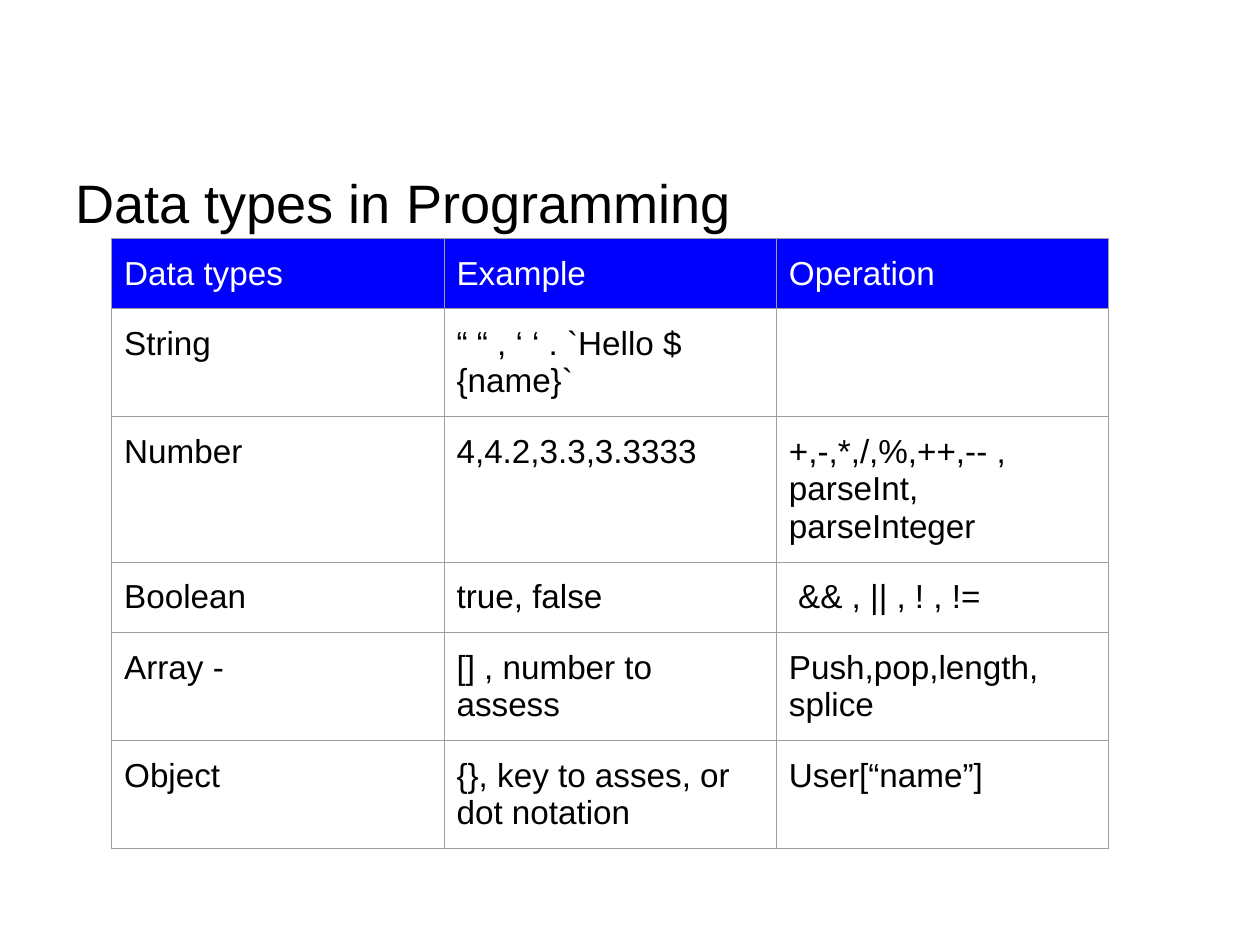
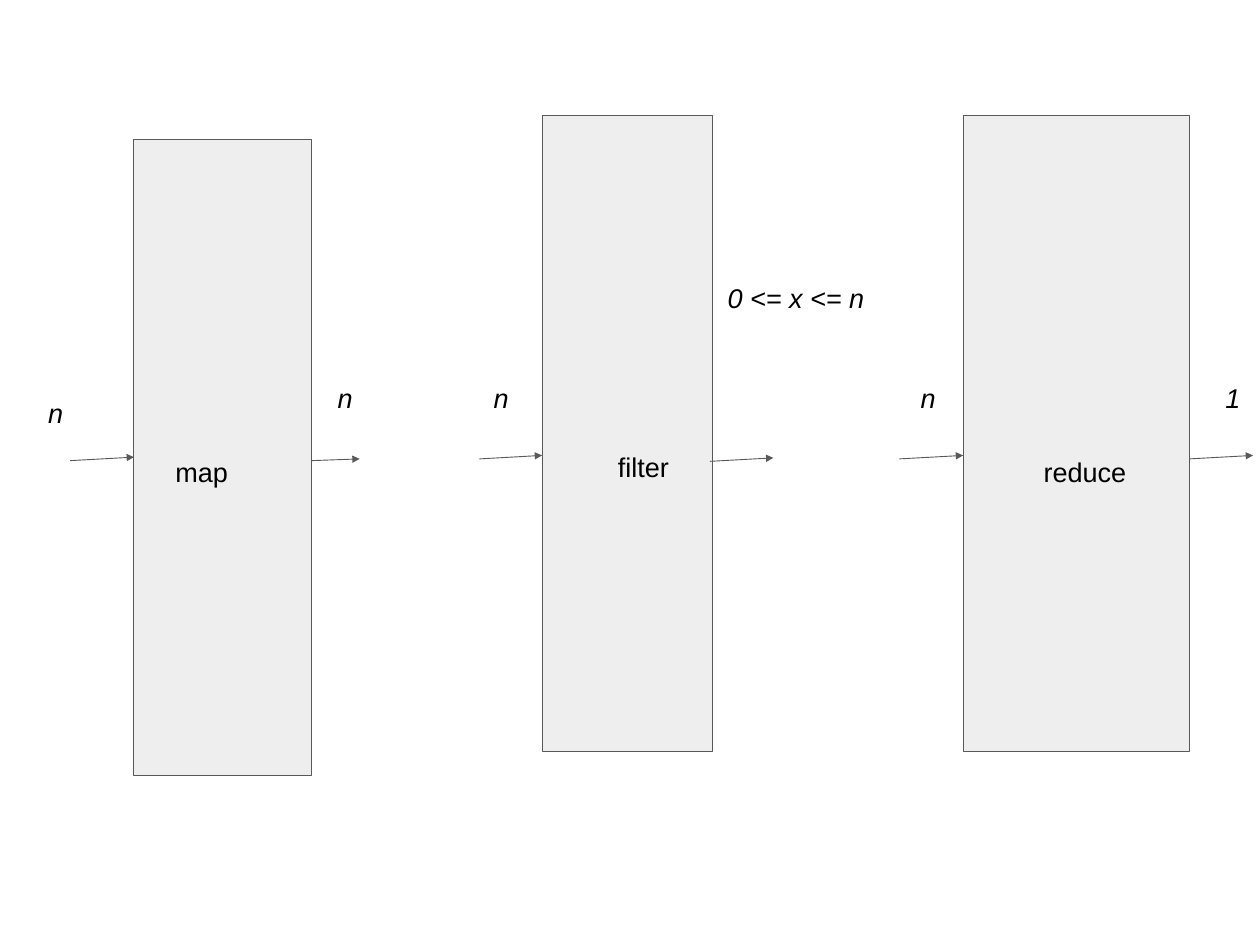
from lxml.etree import SubElement as Sub
from pptx import Presentation as Deck
from pptx.dml.color import RGBColor
from pptx.enum.shapes import MSO_CONNECTOR as Link, MSO_SHAPE as Form
from pptx.enum.text import MSO_ANCHOR as Anchor, MSO_AUTO_SIZE as Auto
from pptx.oxml import parse_xml
from pptx.oxml.ns import nsdecls, qn
from pptx.util import Cm, Pt


def tint(code):
    return RGBColor.from_string(code)


def apply(item, form):
    for key, val in form.items():
        setattr(item, key, val)


class Board:
    """Holds the shared style and the slide being drawn."""

    font = "Arial"
    black, white, blue = "000000", "FFFFFF", "0000FF"
    grey, edge, grid = "EEEEEE", "595959", "9E9E9E"
    thin = 0.75
    inset = dict.fromkeys(
        ("margin_left", "margin_top", "margin_right", "margin_bottom"), Cm(0.41))
    pad = {"margin_left": Cm(0.36), "margin_right": Cm(0.36),
           "margin_top": Cm(0.48), "margin_bottom": Cm(0.48)}

    def __init__(self, wide, high):
        self.deck = Deck()
        apply(self.deck, {"slide_width": Cm(wide), "slide_height": Cm(high)})
        self.slide = None

    def page(self):
        self.slide = self.deck.slides.add_slide(self.deck.slide_layouts[6])
        fill = self.slide.background.fill
        fill.solid()
        fill.fore_color.rgb = tint(self.white)

    def label(self, frame, text, size, color=black, italic=False):
        run = frame.paragraphs[0].add_run()
        run.text = text
        apply(run.font, {"name": self.font, "size": Pt(size), "italic": italic})
        run.font.color.rgb = tint(color)

    def stroke(self, line):
        line.color.rgb = tint(self.edge)
        line.width = Pt(self.thin)

    def text(self, text, left, top, wide, high=1.75, size=22, italic=False,
             fit=Auto.SHAPE_TO_FIT_TEXT):
        box = self.slide.shapes.add_textbox(Cm(left), Cm(top), Cm(wide), Cm(high))
        frame = box.text_frame
        apply(frame, {"word_wrap": True, "auto_size": fit,
                      "vertical_anchor": Anchor.TOP, **self.inset})
        self.label(frame, text, size, italic=italic)

    def title(self, text):
        self.text(text, 1.75, 4.45, 32.6, 5.7, size=44, fit=Auto.NONE)

    def block(self, left, top, wide, high):
        box = self.slide.shapes.add_shape(
            Form.RECTANGLE, Cm(left), Cm(top), Cm(wide), Cm(high))
        box.shadow.inherit = False
        box.fill.solid()
        box.fill.fore_color.rgb = tint(self.grey)
        self.stroke(box.line)
        return box

    def arrow(self, left, top, right, low, goal=None):
        link = self.slide.shapes.add_connector(
            Link.STRAIGHT, Cm(left), Cm(top), Cm(right), Cm(low))
        if goal is not None:
            link.end_connect(goal, 1)
        self.stroke(link.line)
        Sub(link.get_or_add_ln(), qn("a:tailEnd"), type="triangle")
        Sub(link._element.spPr, qn("a:effectLst"))

    def border(self, cell):
        props = cell._tc.get_or_add_tcPr()
        for spot, side in enumerate("LRTB"):
            props.insert(spot, parse_xml(
                f'<a:ln{side} {nsdecls("a")} w="{Pt(self.thin)}"><a:solidFill>'
                f'<a:srgbClr val="{self.grid}"/></a:solidFill></a:ln{side}>'))

    def table(self, rows, left, top, wide, high):
        cols = len(rows[0])
        table = self.slide.shapes.add_table(
            len(rows), cols, Cm(left), Cm(top),
            Cm(wide * cols), Cm(high * len(rows))).table
        apply(table, {"first_row": False, "horz_banding": False})
        for i, row in enumerate(rows):
            for j, text in enumerate(row):
                cell = table.cell(i, j)
                apply(cell, self.pad)
                if i == 0:
                    cell.fill.solid()
                    cell.fill.fore_color.rgb = tint(self.blue)
                else:
                    cell.fill.background()
                self.border(cell)
                if text:
                    self.label(cell.text_frame, text, 27,
                               self.black if i else self.white)


TYPES = [
    ("Data types", "Example", "Operation"),
    ("String", "“ “ , ‘ ‘ . `Hello ${name}`", ""),
    ("Number", "4,4.2,3.3,3.3333", "+,-,*,/,%,++,-- , parseInt, parseInteger"),
    ("Boolean", "true, false", " && , || , ! , !="),
    ("Array -", "[] , number to assess", "Push,pop,length, splice"),
    ("Object", "{}, key to asses, or dot notation", "User[“name”]"),
]
STEPS = [
    ("map", (3.84, 3.99, 5.08), (4.62, 12.65)),
    ("filter", (15.54, 3.3, 4.88), (17.3, 12.5)),
    ("reduce", (27.61, 3.3, 6.5), (29.51, 12.65)),
]
FLOWS = [
    (8.92, 13.21, 10.31, 13.16),
    (13.74, 13.16, 15.54, 13.06),
    (20.35, 13.23, 22.17, 13.13),
    (25.78, 13.16, 27.61, 13.06),
    (34.09, 13.16, 35.92, 13.06),
]
COUNTS = [
    ("n", 0.97, 10.95, 1.4),
    ("n", 9.27, 10.54, 1.4),
    ("n", 13.74, 10.54, 1.4),
    ("0 <= x <= n", 20.45, 7.67, 5.08),
    ("n", 25.98, 10.54, 1.4),
    ("1", 34.72, 10.54, 1.4),
]


def main():
    board = Board(36.12, 27.1)

    board.page()
    board.title("Data types in Programming")
    board.table(TYPES, 3.2, 6.83, 9.53, 2)

    board.page()
    blocks = [board.block(*place, 18.24) for _, place, _ in STEPS]
    board.arrow(2.01, 13.21, 3.84, 13.11, blocks[0])
    for flow in FLOWS:
        board.arrow(*flow)
    for name, _, spot in STEPS:
        board.text(name, *spot, 3.33)
    for count in COUNTS:
        board.text(*count, italic=True)

    board.deck.save("out.pptx")


if __name__ == "__main__":
    main()
